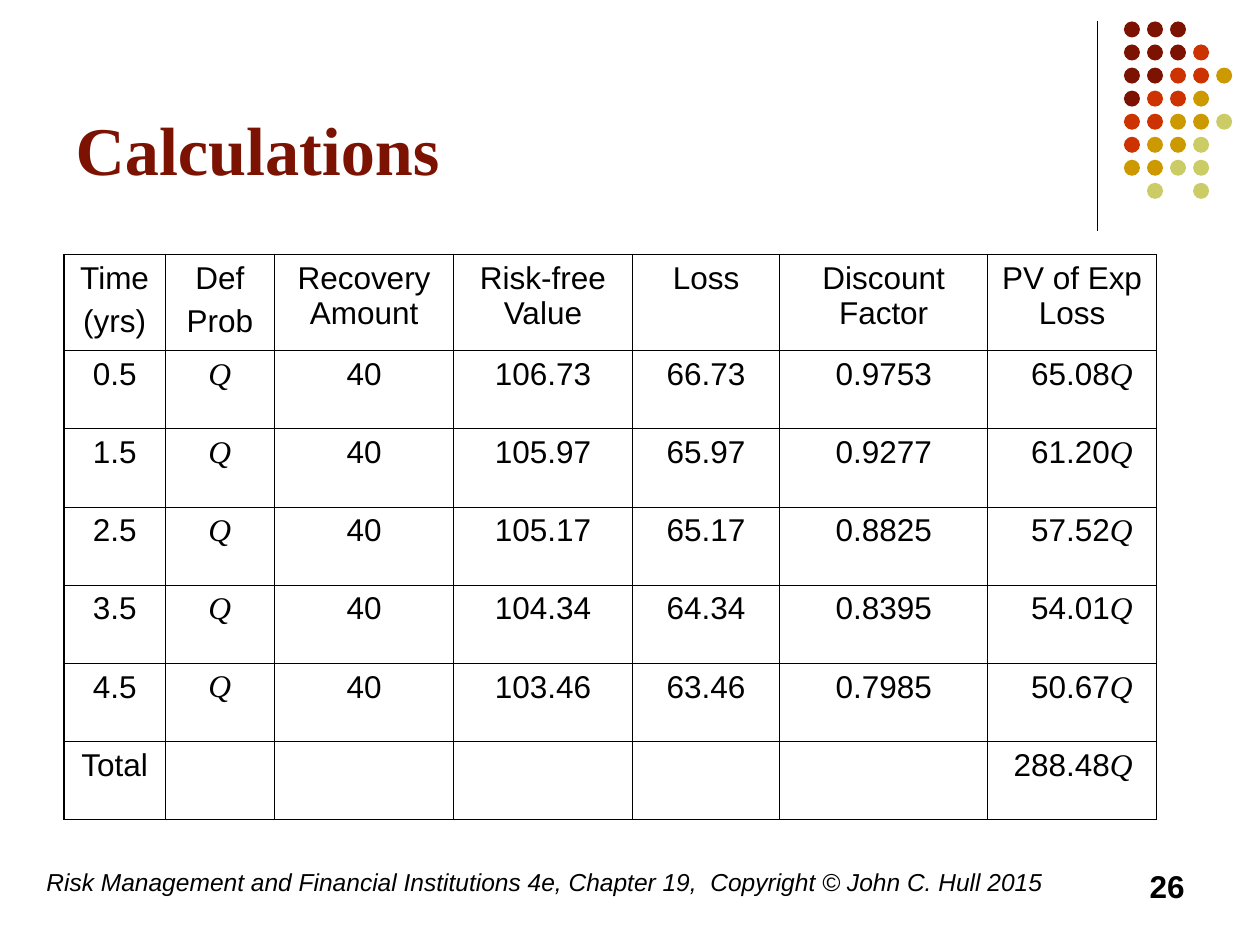
from lxml.etree import SubElement
from pptx import Presentation
from pptx.dml.color import RGBColor
from pptx.enum.shapes import MSO_CONNECTOR, MSO_SHAPE
from pptx.enum.text import MSO_ANCHOR, MSO_AUTO_SIZE, PP_ALIGN
from pptx.oxml.ns import qn
from pptx.util import Inches, Pt

WIDE, HIGH = Inches(10), Inches(7.5)
BLACK, MAROON = "000000", "7C1302"
SANS, SERIF = "Arial", "Times New Roman"
THIN, THICK = 0.45, 1.08

# Each letter is a dot of that colour, each point a gap.
DOTS = ["mmm..", "mmmr.", "mmrro", "mrro.", "rroog", "roog.", "oogg.", ".g.g."]
TINTS = {"m": MAROON, "r": "CC3300", "o": "CC9900", "g": "CCCC66"}
DOT, PITCH = 1.27, 1.83

COLS = [8, 8.7, 14.2, 14.2, 11.7, 16.5, 13.4]
ROWS = [10.13] + [8.27] * 6
HEADS = ["Time\n(yrs)", "Def\nProb", "Recovery Amount", "Risk-free Value",
         "Loss", "Discount Factor", "PV of Exp Loss"]
DATA = [
    ["0.5", "Q", "40", "106.73", "66.73", "0.9753", "65.08Q"],
    ["1.5", "Q", "40", "105.97", "65.97", "0.9277", "61.20Q"],
    ["2.5", "Q", "40", "105.17", "65.17", "0.8825", "57.52Q"],
    ["3.5", "Q", "40", "104.34", "64.34", "0.8395", "54.01Q"],
    ["4.5", "Q", "40", "103.46", "63.46", "0.7985", "50.67Q"],
    ["Total", "", "", "", "", "", "288.48Q"],
]


def across(share):
    """Percent of the slide's width."""
    return int(WIDE * share / 100)


def down(share):
    """Percent of the slide's height."""
    return int(HIGH * share / 100)


def place(x, y, w, h):
    return across(x), down(y), across(w), down(h)


def tint(code):
    return RGBColor.from_string(code)


def write(para, text, size=18, font=SANS, color=BLACK, bold=False,
          italic=False, align=PP_ALIGN.LEFT):
    """Add one formatted run to a paragraph."""
    para.alignment = align
    run = para.add_run()
    run.text = text
    run.font.size = Pt(size)
    run.font.name = font
    run.font.color.rgb = tint(color)
    run.font.bold = bold
    run.font.italic = italic


def add_title(slide, text):
    title = slide.shapes.title
    title.left, title.top, title.width, title.height = place(5, 1.73, 82.5, 18.93)
    frame = title.text_frame
    frame.auto_size = MSO_AUTO_SIZE.NONE
    frame.vertical_anchor = MSO_ANCHOR.BOTTOM
    write(frame.paragraphs[0], text, size=39, font=SERIF, color=MAROON, bold=True)


def add_note(slide, spot, text, **style):
    frame = slide.shapes.add_textbox(*place(*spot)).text_frame
    frame.word_wrap = True
    write(frame.paragraphs[0], text, **style)


def add_rule(slide, x, top, end):
    rule = slide.shapes.add_connector(
        MSO_CONNECTOR.STRAIGHT, across(x), down(top), across(x), down(end))
    rule.line.color.rgb = tint(BLACK)
    rule.line.width = Pt(0.75)
    SubElement(rule._element.spPr, qn("a:effectLst"))


def add_dots(slide, left, top):
    group = slide.shapes.add_group_shape()
    for row, marks in enumerate(DOTS):
        for col, mark in enumerate(marks):
            if mark == ".":
                continue
            dot = group.shapes.add_shape(
                MSO_SHAPE.OVAL, across(left + col * PITCH),
                down(top) + across(row * PITCH), across(DOT), across(DOT))
            dot.shadow.inherit = False
            dot.fill.solid()
            dot.fill.fore_color.rgb = tint(TINTS[mark])
            dot.line.fill.background()


def edge(cell, side, width):
    line = SubElement(cell._tc.get_or_add_tcPr(), qn(f"a:ln{side}"), w=str(Pt(width)))
    fill = SubElement(line, qn("a:solidFill"))
    SubElement(fill, qn("a:srgbClr"), val=BLACK)


def fill_cell(cell, text, align):
    """Write the lines of a cell, with the variable Q in italic serif."""
    frame = cell.text_frame
    for i, line in enumerate(text.split("\n")):
        para = frame.add_paragraph() if i else frame.paragraphs[0]
        if i:
            para.space_before = Pt(4.5)
        plain, sign, _ = line.partition("Q")
        if plain:
            write(para, plain, align=align)
        if sign:
            write(para, sign, font=SERIF, italic=True, align=align)


def add_grid(slide, left, top):
    rows = [HEADS] + DATA
    last_row, last_col = len(ROWS) - 1, len(COLS) - 1
    table = slide.shapes.add_table(
        len(ROWS), len(COLS), *place(left, top, sum(COLS), sum(ROWS))).table
    table.first_row = table.horz_banding = False
    for col, share in zip(table.columns, COLS):
        col.width = across(share)
    for row, share in zip(table.rows, ROWS):
        row.height = down(share)
    for r, texts in enumerate(rows):
        for c, text in enumerate(texts):
            cell = table.cell(r, c)
            outer = {"L": c == 0, "R": c == last_col, "T": r == 0, "B": r == last_row}
            for side, rim in outer.items():
                edge(cell, side, THICK if rim else THIN)
            cell.fill.background()
            align = PP_ALIGN.CENTER
            if r and c == last_col:
                align = PP_ALIGN.RIGHT
                cell.margin_right = across(1.9)
            fill_cell(cell, text, align)


def main():
    deck = Presentation()
    deck.slide_width, deck.slide_height = WIDE, HIGH
    slide = deck.slides.add_slide(deck.slide_layouts.get_by_name("Title Only"))
    add_rule(slide, 87.1, 2.27, 24.4)
    add_dots(slide, 89.2, 2.27)
    add_note(slide, (2.7, 91.07, 82.7, 6.67),
             "Risk Management and Financial Institutions 4e, Chapter 19,"
             "  Copyright © John C. Hull 2015", size=14, italic=True)
    add_title(slide, "Calculations")
    add_grid(slide, 5.1, 26.93)
    add_note(slide, (71.7, 91.07, 23.3, 6.67), "26", bold=True, align=PP_ALIGN.RIGHT)
    deck.save("out.pptx")


if __name__ == "__main__":
    main()
